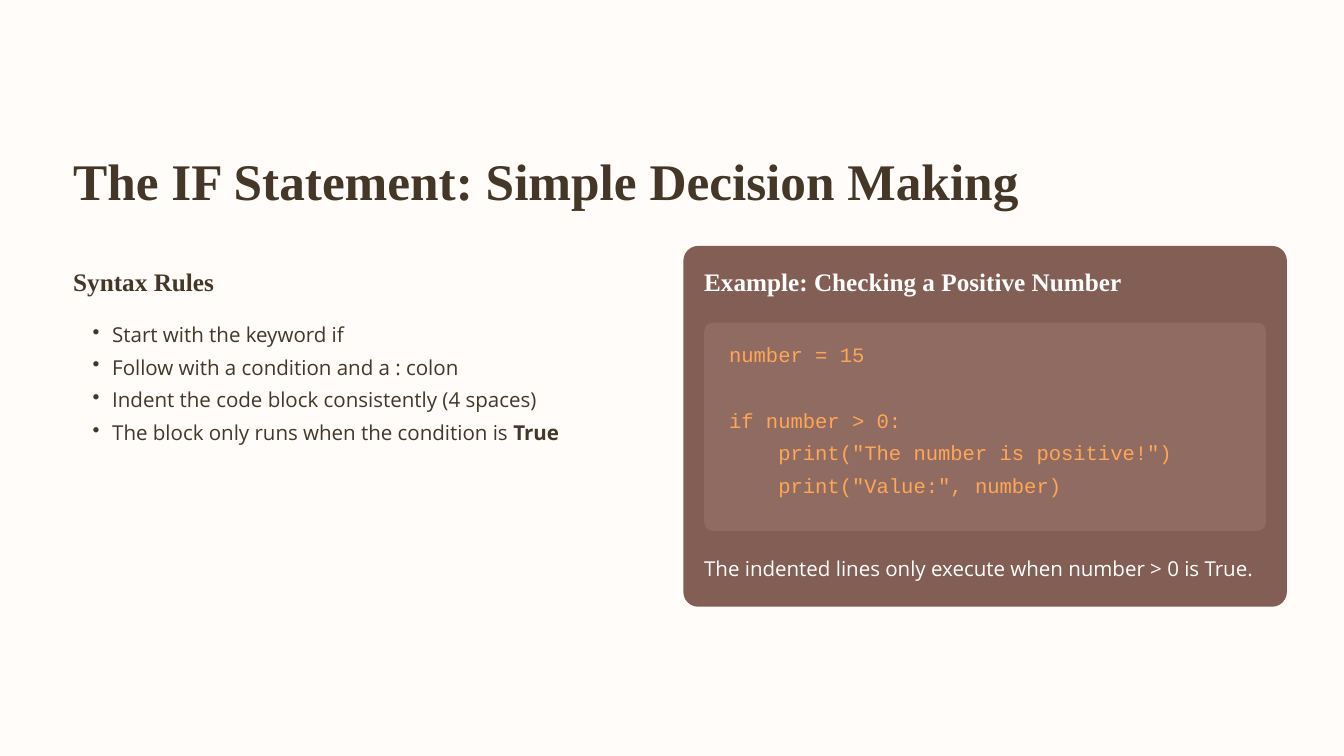
"""Build a slide that explains the Python if statement."""
import pptx
import pptx.dml.color
import pptx.enum.shapes
import pptx.enum.text
import pptx.oxml.ns
import pptx.util
from lxml import etree

Pt = pptx.util.Pt
COLORS = {
    "paper": "FFFCFA",
    "ink": "443728",
    "panel": "835E54",
    "code_panel": "906B61",
    "code": "FFA657",
    "white": "FFFFFF",
}
SERIF, SANS, MONO = "Times New Roman", "Open Sans", "Courier New"


def rgb(name):
    """Return the named colour."""
    return pptx.dml.color.RGBColor.from_string(COLORS[name])


def add_span(para, text, font=SANS, size=22, color="ink", bold=False):
    """Append one formatted run to a paragraph."""
    span = para.add_run()
    span.text = text
    span.font.name = font
    span.font.size = Pt(size)
    span.font.bold = bold
    span.font.color.rgb = rgb(color)


def add_bullet(para, indent=20.88):
    """Give a paragraph a hanging round bullet."""
    para.level = 1
    properties = para._p.get_or_add_pPr()
    properties.set("marL", str(Pt(2 * indent)))
    properties.set("indent", str(-Pt(indent)))
    bullet = etree.SubElement(properties, pptx.oxml.ns.qn("a:buChar"))
    bullet.set("char", "•")


class SlideBuilder:
    """Hold the current page and draw its elements."""

    def __init__(self, page):
        """Start on a page with a paper-coloured background."""
        self.page = page
        fill = page.background.fill
        fill.solid()
        fill.fore_color.rgb = rgb("paper")

    def panel(self, left, top, width, height, radius, color):
        """Draw a filled rounded rectangle."""
        box = self.page.shapes.add_shape(
            pptx.enum.shapes.MSO_SHAPE.ROUNDED_RECTANGLE,
            Pt(left), Pt(top), Pt(width), Pt(height))
        box.adjustments[0] = radius / min(width, height)
        box.shadow.inherit = False
        box.fill.solid()
        box.fill.fore_color.rgb = rgb(color)
        box.line.fill.background()

    def text(self, left, top, width, height, lines, spacing=35.1, bullets=False, **style):
        """Write lines of text; a line is a string or a list of (text, bold) pairs."""
        box = self.page.shapes.add_textbox(Pt(left), Pt(top), Pt(width), Pt(height))
        frame = box.text_frame
        frame.word_wrap = True
        frame.auto_size = pptx.enum.text.MSO_AUTO_SIZE.SHAPE_TO_FIT_TEXT
        frame.margin_left = frame.margin_right = frame.margin_top = frame.margin_bottom = 0
        for index, line in enumerate(lines):
            para = frame.add_paragraph() if index else frame.paragraphs[0]
            if bullets:
                add_bullet(para)
            para.line_spacing = Pt(spacing)
            if isinstance(line, str):
                add_span(para, line, **style)
            else:
                for text, bold in line:
                    add_span(para, text, bold=bold, **style)

    def heading(self, left, top, width, height, text, size=27, spacing=33.7, color="ink"):
        """Write a bold serif heading."""
        self.text(left, top, width, height, [text], spacing=spacing,
                  font=SERIF, size=size, color=color, bold=True)


def main():
    """Build and save the deck."""
    deck = pptx.Presentation()
    deck.slide_width, deck.slide_height = Pt(1440), Pt(810)
    slide = SlideBuilder(deck.slides.add_slide(deck.slide_layouts[6]))

    left, right = 78.5, 754.5
    slide.heading(left, 157, 1283.8, 72.7, "The IF Statement: Simple Decision Making",
                  size=55, spacing=68.6)

    slide.heading(left, 284.4, 614.9, 36.7, "Syntax Rules")
    slide.text(left, 336.2, 614.9, 172.8, [
        "Start with the keyword if",
        "Follow with a condition and a : colon",
        "Indent the code block consistently (4 spaces)",
        [("The block only runs when the condition is ", False), ("True", True)],
    ], bullets=True)

    slide.panel(732.2, 263.5, 646.6, 386.6, 15.84, "panel")
    slide.heading(right, 284.4, 601.9, 36.7, "Example: Checking a Positive Number", color="white")
    slide.panel(right, 345.6, 601.9, 223.2, 9.36, "code_panel")
    slide.text(781.2, 357.8, 548.6, 189.4, [
        "number = 15",
        "",
        "if number > 0:",
        '    print("The number is positive!")',
        '    print("Value:", number)',
    ], font=MONO, color="code")
    slide.text(right, 587.5, 673.9, 42.5,
               ["The indented lines only execute when number > 0 is True."], color="white")

    deck.save("out.pptx")


if __name__ == "__main__":
    main()
